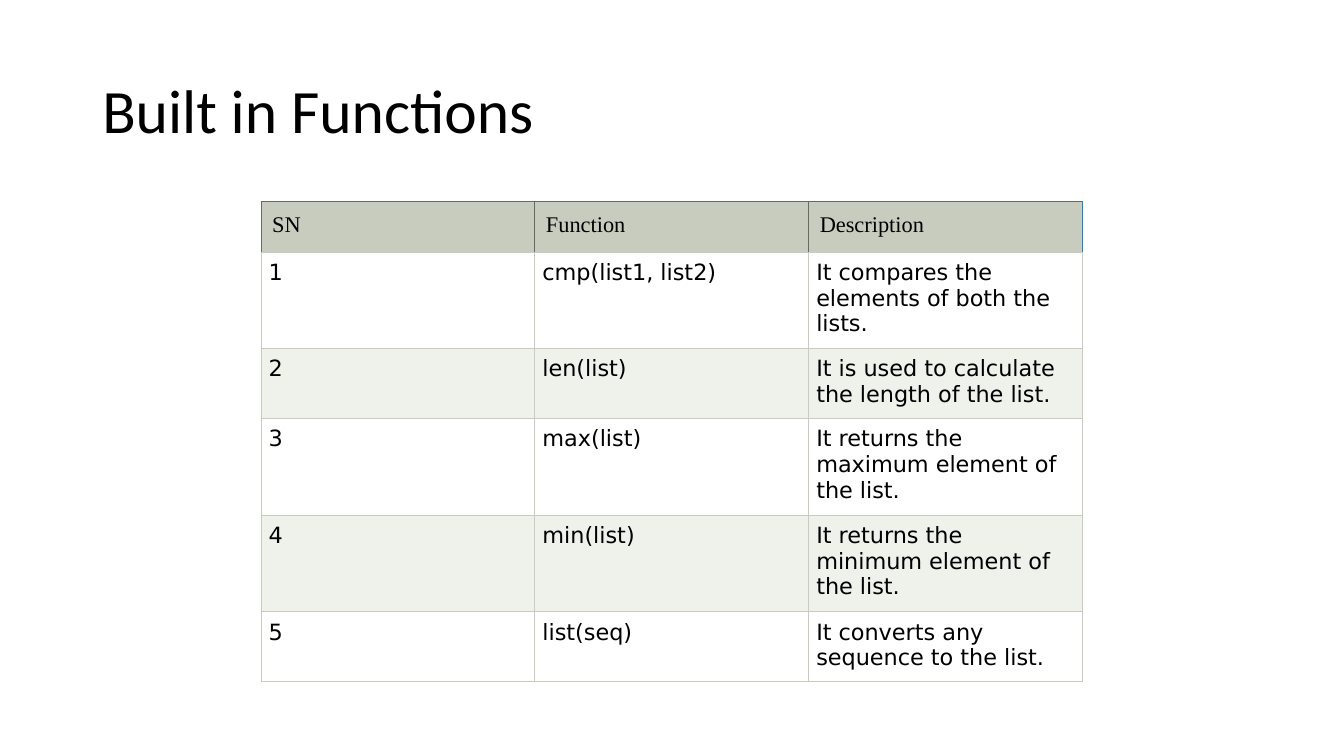
from lxml.etree import SubElement
from pptx import Presentation
from pptx.dml.color import RGBColor
from pptx.enum.text import MSO_ANCHOR
from pptx.oxml.ns import qn
from pptx.util import Pt

HEAD = ["SN", "Function", "Description"]
ROWS = [
    ("cmp(list1, list2)", "It compares the elements of both the lists."),
    ("len(list)", "It is used to calculate the length of the list."),
    ("max(list)", "It returns the maximum element of the list."),
    ("min(list)", "It returns the minimum element of the list."),
    ("list(seq)", "It converts any sequence to the list."),
]
TALLS = [36, 69.12, 49.68, 69.12, 69.12, 49.68]


def color(code):
    return RGBColor.from_string(code)


class Deck:
    """Draws styled elements on the current slide."""

    ink, sage, pale, white = "000000", "C7CCBE", "EFF1EB", "FFFFFF"
    edge, blue = "666A62", "088BE0"
    title_style = {"name": "Calibri", "size": Pt(44)}
    head_style = {"name": "Times New Roman", "size": Pt(16)}
    body_style = {"name": "DejaVu Sans", "size": Pt(16)}

    def __init__(self, wide, high):
        self.show = Presentation()
        self.show.slide_width, self.show.slide_height = Pt(wide), Pt(high)
        self.slide = self.show.slides.add_slide(self.show.slide_layouts[6])

    def label(self, frame, text, style):
        para = frame.paragraphs[0]
        run = para.add_run()
        run.text = text
        for key, value in style.items():
            setattr(run.font, key, value)
        run.font.color.rgb = color(self.ink)
        return para

    def title(self, text, *box):
        frame = self.slide.shapes.add_textbox(*map(Pt, box)).text_frame
        frame.word_wrap = True
        frame.vertical_anchor = MSO_ANCHOR.MIDDLE
        self.label(frame, text, self.title_style).line_spacing = 0.9

    def border(self, cell, tints):
        props = cell._tc.get_or_add_tcPr()
        for side, tint in zip("LRTB", tints):
            line = SubElement(props, qn(f"a:ln{side}"), w=str(Pt(0.75)))
            fill = SubElement(line, qn("a:solidFill"))
            SubElement(fill, qn("a:srgbClr"), val=tint)

    def cell(self, cell, text, style, fill, inset, tints):
        for side in ("left", "right", "top", "bottom"):
            setattr(cell, f"margin_{side}", Pt(inset))
        self.border(cell, tints)
        cell.fill.solid()
        cell.fill.fore_color.rgb = color(fill)
        self.label(cell.text_frame, text, style)

    def table(self, head, rows, talls, left, top, wide):
        shape = self.slide.shapes.add_table(
            len(rows) + 1, len(head), Pt(left), Pt(top), Pt(wide), Pt(sum(talls)))
        grid = shape.table
        for col in grid.columns:
            col.width = Pt(wide / len(head))
        for row, tall in zip(grid.rows, talls):
            row.height = Pt(tall)
        for c, text in enumerate(head):
            right = self.blue if c == len(head) - 1 else self.edge
            tints = self.edge, right, self.edge, self.sage
            self.cell(grid.cell(0, c), text, self.head_style, self.sage, 7.92, tints)
        for r, row in enumerate(rows, 1):
            fill = self.white if r % 2 else self.pale
            for c, text in enumerate((str(r), *row)):
                self.cell(grid.cell(r, c), text, self.body_style, fill, 5.4,
                          [self.sage] * 4)


def main():
    deck = Deck(960, 540)
    deck.title("Built in Functions", 66, 28.75, 828, 104.4)
    deck.table(HEAD, ROWS, TALLS, 186.5, 144, 586.8)
    deck.show.save("out.pptx")


if __name__ == "__main__":
    main()
